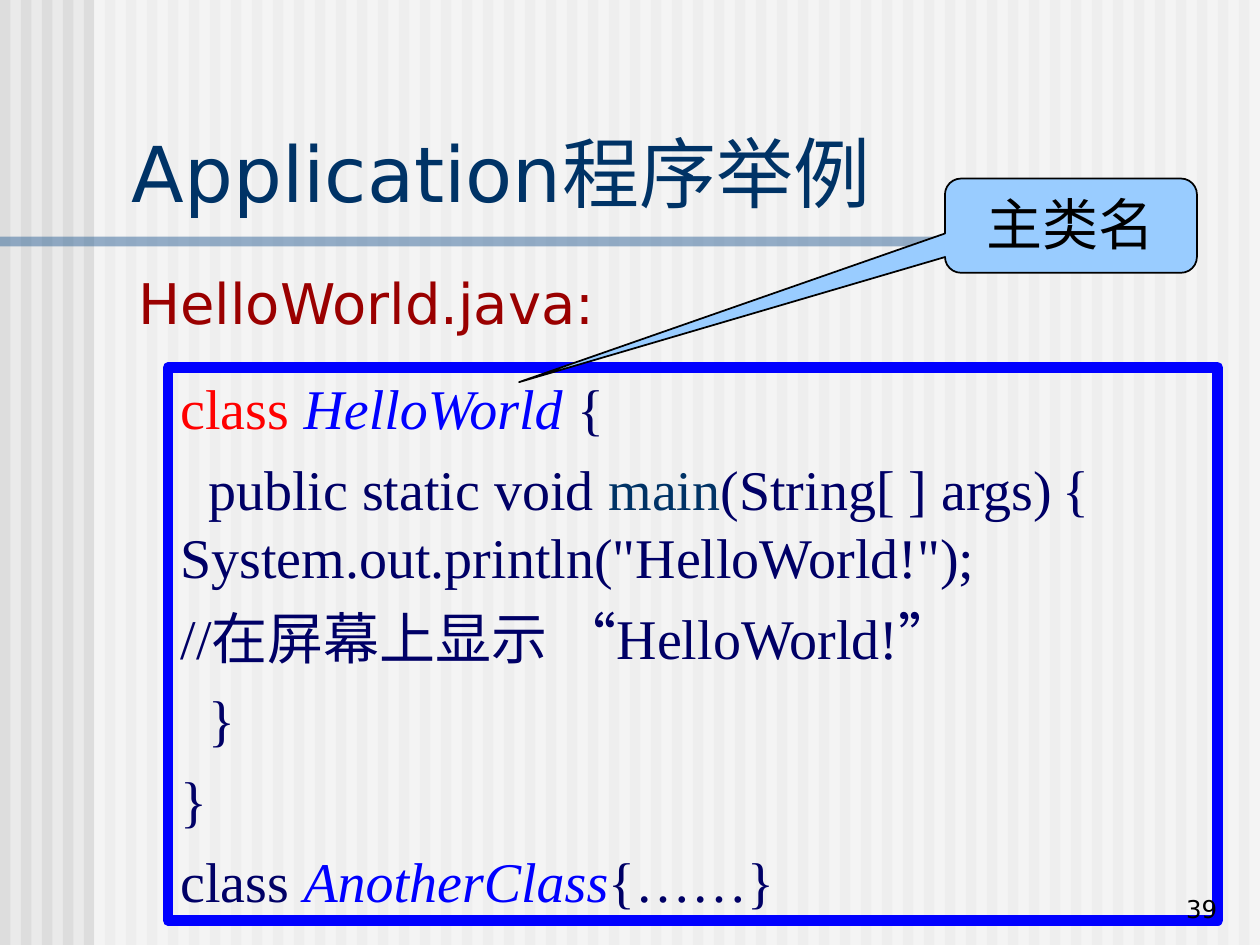
from dataclasses import dataclass
from lxml.etree import SubElement
from pptx import Presentation
from pptx.dml.color import RGBColor
from pptx.enum.shapes import MSO_SHAPE
from pptx.enum.text import MSO_ANCHOR, PP_ALIGN
from pptx.oxml.ns import qn
from pptx.util import Cm, Pt


@dataclass(frozen=True)
class Theme:
    background: str = "EAEAEA"
    stripe: str = "DDDDDD"
    veil: str = "FFFFFF"
    rule: str = "336699"
    title: str = "003366"
    heading: str = "9A0000"
    code: str = "000066"
    keyword: str = "FF0000"
    class_name: str = "0000FF"
    callout: str = "99CCFF"
    ink: str = "000000"
    sans: str = "DejaVu Sans"
    serif: str = "Times New Roman"
    title_size: int = 44
    text_size: int = 32
    number_size: int = 14


class SlideBuilder:
    def __init__(self, s, theme):
        self.s, self.theme = s, theme
        fill = s.background.fill
        fill.solid()
        fill.fore_color.rgb = RGBColor.from_string(theme.background)

    def shape(self, kind, x, y, w, h, fill=None, line=None, width=1, alpha=None):
        sp = self.s.shapes.add_shape(kind, Cm(x), Cm(y), Cm(w), Cm(h))
        sp.shadow.inherit = False
        if fill:
            sp.fill.solid()
            sp.fill.fore_color.rgb = RGBColor.from_string(fill)
        else:
            sp.fill.background()
        if alpha:
            color = sp.fill._xPr.find(qn("a:solidFill"))[0]
            SubElement(color, qn("a:alpha"), val=str(alpha * 1000))
        if line:
            sp.line.color.rgb = RGBColor.from_string(line)
            sp.line.width = Pt(width)
        else:
            sp.line.fill.background()
        return sp

    def text_box(self, x, y, w, h, anchor=MSO_ANCHOR.TOP):
        tf = self.s.shapes.add_textbox(Cm(x), Cm(y), Cm(w), Cm(h)).text_frame
        tf.word_wrap = True
        tf.vertical_anchor = anchor
        return tf

    def paragraph(self, tf, runs, size, font, align=PP_ALIGN.LEFT,
                  before=0, indent=0, tab=None):
        """Each run is (text, colour) or (text, colour, italic)."""
        p = tf.paragraphs[0]
        if p.runs:
            p = tf.add_paragraph()
        p.alignment = align
        p.space_before = Pt(before)
        pPr = p._p.get_or_add_pPr()
        if indent:
            pPr.set("indent", str(Cm(indent)))
        if tab:
            tabs = SubElement(pPr, qn("a:tabLst"))
            SubElement(tabs, qn("a:tab"), pos=str(Cm(tab)), algn="l")
        for text, color, *italic in runs:
            if text == "\n":
                p.add_line_break()
                continue
            r = p.add_run()
            r.text = text
            r.font.size = Pt(size)
            r.font.name = font
            r.font.italic = bool(italic and italic[0])
            r.font.color.rgb = RGBColor.from_string(color)


def main():
    prs = Presentation()
    prs.slide_width, prs.slide_height = Cm(25.4), Cm(19.05)
    t = Theme()
    b = SlideBuilder(prs.slides.add_slide(prs.slide_layouts[6]), t)

    # Striped backdrop, softened right of the margin
    count = 60
    pitch = 25.4 / count
    for i in range(count):
        b.shape(MSO_SHAPE.RECTANGLE, i * pitch, 0, pitch / 2, 19.05, t.stripe)
    b.shape(MSO_SHAPE.RECTANGLE, 1.9, 0, 23.5, 19.05, t.veil, alpha=50)
    b.shape(MSO_SHAPE.RECTANGLE, 0, 4.77, 19.3, 0.2, t.rule, alpha=50)

    # Title and file name
    tf = b.text_box(2.41, 2.39, 22.68, 2.13, MSO_ANCHOR.BOTTOM)
    b.paragraph(tf, [("Application程序举例", t.title)], t.title_size, t.sans)
    tf = b.text_box(2.54, 5.28, 22.53, 1.8)
    b.paragraph(tf, [("HelloWorld.java:", t.heading)], t.text_size, t.sans, before=8)

    # Code listing: (runs, first-line indent, tab stop)
    box = b.shape(MSO_SHAPE.RECTANGLE, 3.39, 7.41, 21.16, 11.15,
                  line=t.class_name, width=6)
    tf = box.text_frame
    tf.word_wrap = True
    tf.vertical_anchor = MSO_ANCHOR.TOP
    listing = [
        ([("class ", t.keyword), ("HelloWorld", t.class_name, True),
          (" {", t.code)], 0, None),
        ([("public static void ", t.code), ("main", t.title),
          ("(String[ ] args)\t{", t.code), ("\n", t.code),
          ('System.out.println("HelloWorld!");', t.code)], 0.56, 18.5),
        ([("//在屏幕上显示 “HelloWorld!”", t.code)], 0, None),
        ([("}", t.code)], 0.56, None),
        ([("}", t.code)], 0, None),
        ([("class ", t.code), ("AnotherClass", t.class_name, True),
          ("{……}", t.code)], 0, None),
    ]
    for runs, indent, tab in listing:
        b.paragraph(tf, runs, t.text_size, t.serif, before=8, indent=indent, tab=tab)

    # Callout pointing at the main class name
    callout = b.shape(MSO_SHAPE.ROUNDED_RECTANGULAR_CALLOUT, 19.05, 3.6, 5.08, 1.9,
                      t.callout, t.ink)
    for i, value in enumerate((-2.19, 1.66, 0.17)):
        callout.adjustments[i] = value
    callout.text_frame.vertical_anchor = MSO_ANCHOR.TOP
    b.paragraph(callout.text_frame, [("主类名", t.ink)], t.text_size, t.serif,
                PP_ALIGN.CENTER)

    # Page number
    tf = b.text_box(19.5, 17.48, 5.29, 1.27, MSO_ANCHOR.BOTTOM)
    b.paragraph(tf, [("39", t.ink)], t.number_size, t.sans, PP_ALIGN.RIGHT)

    prs.save("out.pptx")


if __name__ == "__main__":
    main()
